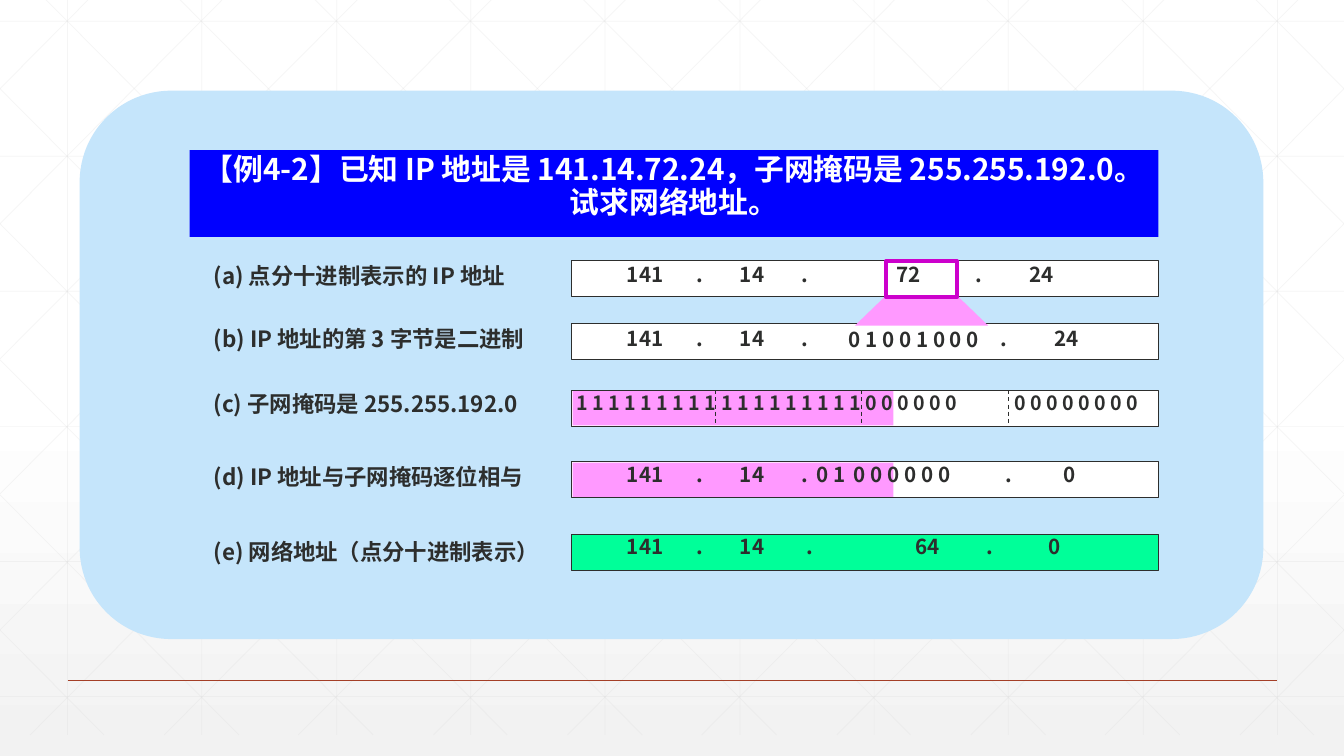
from lxml.etree import SubElement
from pptx import Presentation
from pptx.dml.color import RGBColor
from pptx.enum.dml import MSO_LINE
from pptx.enum.shapes import MSO_CONNECTOR, MSO_SHAPE
from pptx.enum.text import MSO_ANCHOR, PP_ALIGN
from pptx.oxml.ns import qn
from pptx.util import Pt

PX = 9144  # 100 px to the inch
WIDTH, HEIGHT = 1333, 750
FONT = "Noto Sans CJK SC"
INK, WHITE, PINK, GREEN = "2D2E2D", "FFFFFF", "FF99FF", "00FF99"
BAR_LEFT, BAR_WIDTH, BAR_HEIGHT = 567, 582, 36


def emu(px):
    return round(px) * PX


def rgb(color):
    return RGBColor.from_string(color)


class Canvas:
    def __init__(self, prs):
        self.slide = prs.slides.add_slide(prs.slide_layouts[6])
        self.shapes = self.slide.shapes

    def background(self, top, bottom, start):
        fill = self.slide.background.fill
        fill.gradient()
        fill.gradient_angle = 270
        for stop, color, place in zip(fill.gradient_stops, (top, bottom), (start, 1)):
            stop.color.rgb = rgb(color)
            stop.position = place

    def paint(self, sp, fill=None, line=None, weight=0.75):
        sp.shadow.inherit = False
        if fill:
            sp.fill.solid()
            sp.fill.fore_color.rgb = rgb(fill)
        else:
            sp.fill.background()
        if line:
            sp.line.color.rgb = rgb(line)
            sp.line.width = Pt(weight)
        else:
            sp.line.fill.background()
        return sp

    def box(self, x, y, w, h, kind=MSO_SHAPE.RECTANGLE, **style):
        sp = self.shapes.add_shape(kind, emu(x), emu(y), emu(w), emu(h))
        return self.paint(sp, **style)

    def polygon(self, points, **style):
        builder = self.shapes.build_freeform(*points[0], scale=PX)
        builder.add_line_segments(points[1:], close=True)
        return self.paint(builder.convert_to_shape(), **style)

    def line(self, x1, y1, x2, y2, color=INK, weight=0.75, dash=None, alpha=None):
        """Draw a straight line; alpha is its opacity in percent."""
        cx = self.shapes.add_connector(
            MSO_CONNECTOR.STRAIGHT, emu(x1), emu(y1), emu(x2), emu(y2))
        cx.line.color.rgb = rgb(color)
        cx.line.width = Pt(weight)
        if dash:
            cx.line.dash_style = dash
        if alpha:
            clr = next(cx._element.spPr.iter(qn("a:srgbClr")))
            SubElement(clr, qn("a:alpha")).set("val", str(alpha * 1000))
        SubElement(cx._element.spPr, qn("a:effectLst"))

    def put_text(self, sp, text, size=14.7, color=INK, align=PP_ALIGN.LEFT,
                 spacing=0.82, inset=(10, 5), wrap=True, tabs=()):
        """Fill a shape with one bold paragraph; tabs are px from the text's left edge."""
        tf = sp.text_frame
        tf.word_wrap = wrap
        tf.vertical_anchor = MSO_ANCHOR.TOP
        tf.margin_left = tf.margin_right = emu(inset[0])
        tf.margin_top = tf.margin_bottom = emu(inset[1])
        p = tf.paragraphs[0]
        p.alignment = align
        p.line_spacing = spacing
        if tabs:
            tab_list = SubElement(p._p.get_or_add_pPr(), qn("a:tabLst"))
            for pos in tabs:
                tab = SubElement(tab_list, qn("a:tab"))
                tab.set("pos", str(emu(pos)))
                tab.set("algn", "l")
        r = p.add_run()
        r.text = text
        r.font.size = Pt(size)
        r.font.bold = True
        r.font.name = FONT
        r.font.color.rgb = rgb(color)
        SubElement(r._r.get_or_add_rPr(), qn("a:ea")).set("typeface", FONT)

    def text(self, x, y, w, h, text, **style):
        sp = self.shapes.add_textbox(emu(x), emu(y), emu(w), emu(h))
        self.put_text(sp, text, **style)


def draw_grid(c):
    top, bottom, step, run = -21, 729, 400 / 3, 745
    style = dict(color="D9D9D9", weight=0.5, alpha=25)
    for i in range(10):
        x = 67 + i * step
        c.line(x, top, x, bottom, **style)
    for i in range(6):
        y = 21 + i * 134
        c.line(0, y, WIDTH, y, **style)
    slope = (bottom - top) / run
    for i in range(-5, 10):
        start = 25 + i * step
        x1, x2 = max(start, 0), min(start + run, WIDTH)
        y1, y2 = (top + (x - start) * slope for x in (x1, x2))
        c.line(x1, y1, x2, y2, **style)
        c.line(WIDTH - x1, y1, WIDTH - x2, y2, **style)


def draw_bars(c):
    for y, fill in ((258, WHITE), (321, WHITE), (387, WHITE), (458, WHITE), (530, GREEN)):
        c.box(BAR_LEFT, y, BAR_WIDTH, BAR_HEIGHT, fill=fill, line=INK)
    for y in (388, 459):
        c.box(BAR_LEFT + 1, y, 318, 34, fill=PINK)
    c.polygon([(879, 293), (949, 293), (980, 323), (848, 323)], fill=PINK)
    for x in (710, 854, 1000):
        c.line(x, 387, x, 422, dash=MSO_LINE.DASH)


def draw_labels(c):
    labels = (
        (259, 324, "(a) 点分十进制表示的 IP 地址"),
        (321, 346, "(b) IP 地址的第 3 字节是二进制"),
        (386, 350, "(c) 子网掩码是 255.255.192.0"),
        (458, 350, "(d) IP 地址与子网掩码逐位相与"),
        (533, 360, "(e) 网络地址（点分十进制表示）"),
    )
    for y, w, label in labels:
        c.text(199, y, w, 40, label, size=16, inset=(13, 6))


def draw_values(c):
    first_half = "141\t.\t14\t."
    stops = (69, 112, 173)
    values = (
        (612, 259, 236, first_half, stops),
        (879, 259, 218, "72\t.\t24", (79, 132)),
        (612, 323, 236, first_half, stops),
        (832, 324, 177, "0 1 0 0 1 0 0 0", ()),
        (982, 323, 119, ".\t24", (54,)),
        (612, 458, 405, first_half + "\t0 1\t0 0 0 0 0 0", stops + (188, 225)),
        (987, 458, 112, ".\t0", (58,)),
        (612, 529, 242, first_half, (69, 112, 178)),
        (898, 529, 199, "64\t.\t0", (71, 132)),
    )
    for x, y, w, value, tabs in values:
        c.text(x, y, w, 35, value, tabs=tabs)
    mask = ((559, 450, " ".join("1" * 18 + "0" * 6)), (993, 164, " ".join("0" * 8)))
    for x, w, bits in mask:
        c.text(x, 386, w, 37, bits, size=14, inset=(13, 6), wrap=False)
    c.box(879, 259, 70, BAR_HEIGHT, line="CC00CC", weight=3)


def main():
    prs = Presentation()
    prs.slide_width, prs.slide_height = emu(WIDTH), emu(HEIGHT)
    c = Canvas(prs)
    c.background(WHITE, "F2F2F2", 0.53)
    draw_grid(c)
    c.line(67, 675, 1267, 675, color="A43F27", weight=1)
    c.box(79, 90, 1174, 544, MSO_SHAPE.ROUNDED_RECTANGLE, fill="C5E5FB")
    draw_bars(c)
    draw_labels(c)
    draw_values(c)
    title = c.box(188, 149, 961, 86, fill="0000FF")
    c.put_text(title, "【例4-2】已知 IP 地址是 141.14.72.24，子网掩码是 255.255.192.0。试求网络地址。",
               size=21.3, color=WHITE, align=PP_ALIGN.CENTER, spacing=0.9)
    prs.save("out.pptx")


if __name__ == "__main__":
    main()
